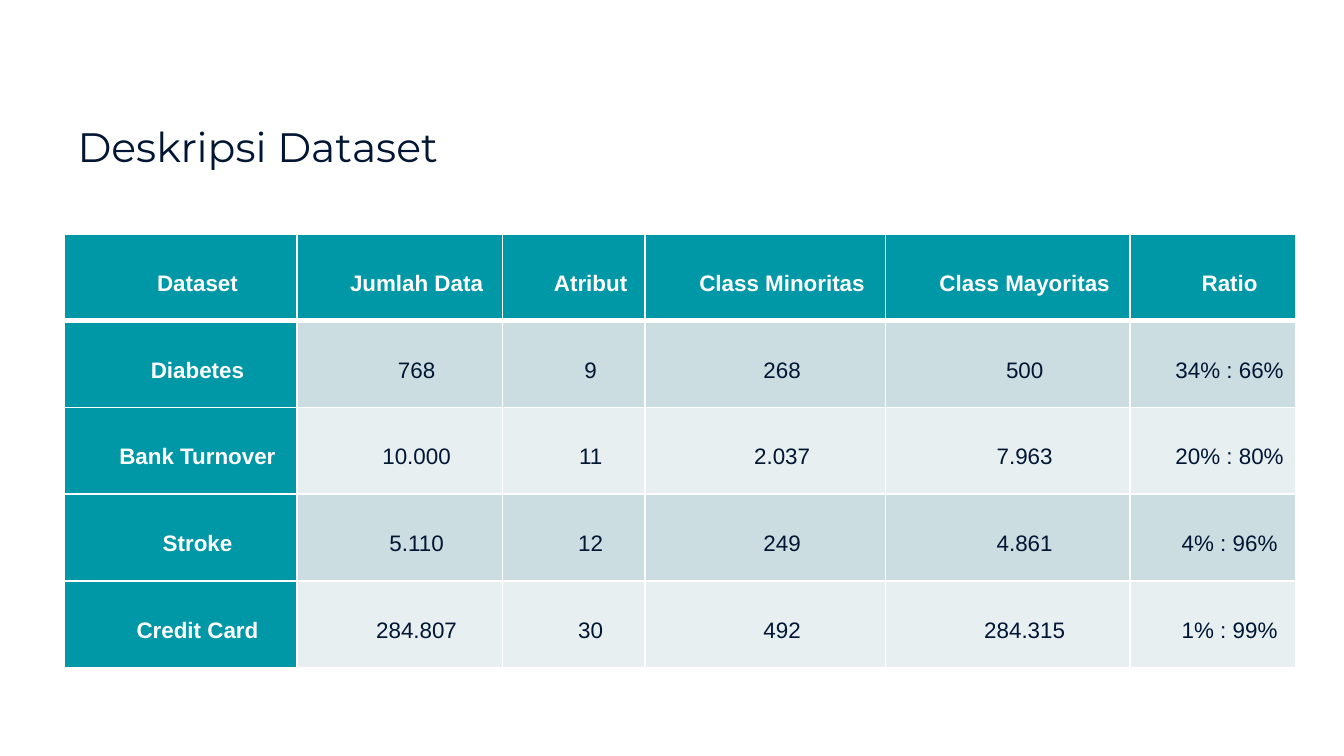
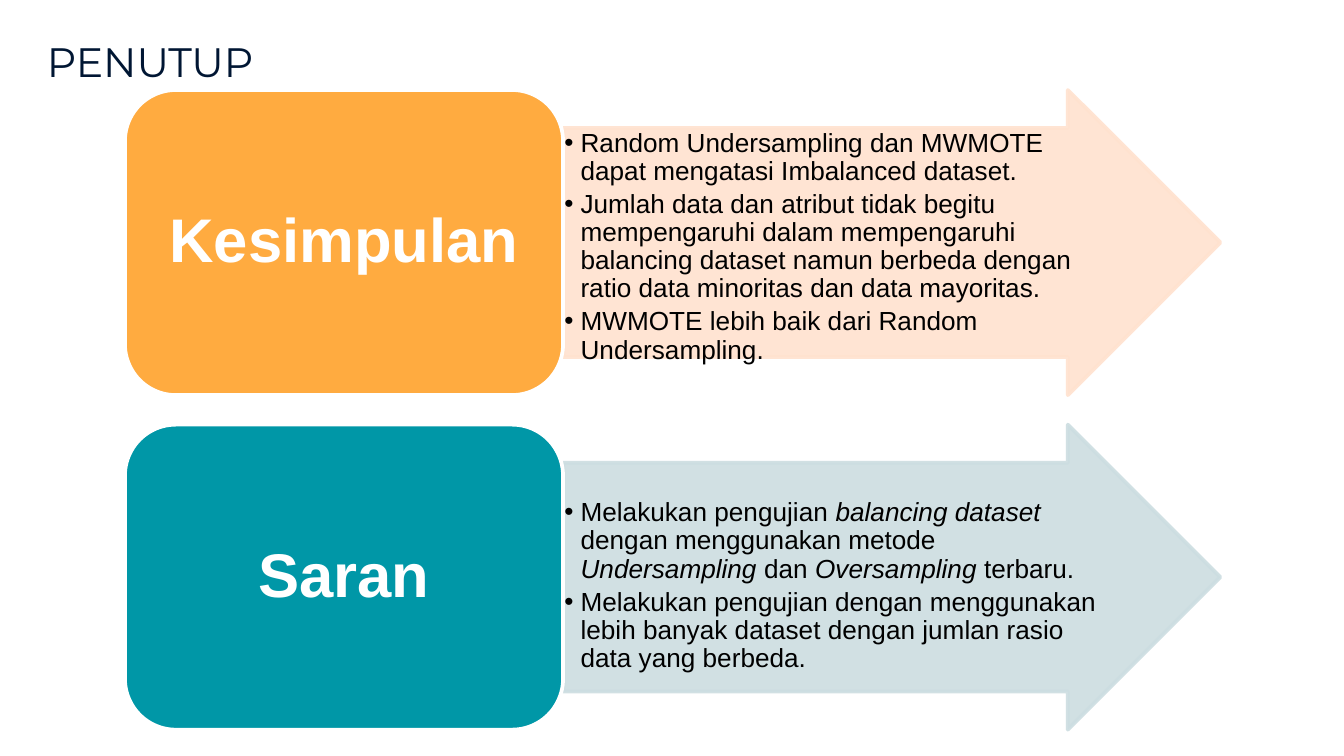
"""Build a dataset table slide and a closing slide with two arrow cards."""
import dataclasses
import typing

import lxml.etree
import pptx
import pptx.dml.color
import pptx.dml.fill
import pptx.enum.shapes
import pptx.enum.text
import pptx.oxml.ns
import pptx.shapes.autoshape
import pptx.slide
import pptx.table
import pptx.text.text
import pptx.util

SHAPE = pptx.enum.shapes.MSO_SHAPE
ANCHOR = pptx.enum.text.MSO_ANCHOR
ALIGN = pptx.enum.text.PP_ALIGN
qn = pptx.oxml.ns.qn

COLS, ROWS = 100, 56.25
SLIDE_W = pptx.util.Inches(10)
SLIDE_H = pptx.util.Inches(5.625)

NAVY, WHITE, BLACK = "001633", "FFFFFF", "000000"
TEAL, MIST, PALE = "0097A7", "CCDDE1", "E7EFF1"
ORANGE, PEACH = "FFAB40", "FFE2CF"

TITLE_FONT = {"name": "Montserrat", "size": pptx.util.Pt(22)}
HEAD_FONT = {"name": "Arial", "size": pptx.util.Pt(12), "bold": True}
CELL_FONT = {**HEAD_FONT, "bold": False}
CARD_FONT = {"name": "Arial", "size": pptx.util.Pt(33), "bold": True}
BULLET_FONT = {"name": "Arial", "size": pptx.util.Pt(14)}
CELL_PARA = {"alignment": ALIGN.CENTER, "line_spacing": 1.5}
CARD_PARA = {"alignment": ALIGN.CENTER, "line_spacing": 0.9}
BULLET_PARA = {"line_spacing": 0.9, "space_after": pptx.util.Pt(2.5)}

TABLE_COLS = (17.3, 15.3, 10.6, 17.9, 18.2, 12.3)
TABLE_ROW = 6.46
TABLE_TEXT = (
    ("Dataset", "Jumlah Data", "Atribut", "Class Minoritas", "Class Mayoritas", "Ratio"),
    ("Diabetes", "768", "9", "268", "500", "34% : 66%"),
    ("Bank Turnover", "10.000", "11", "2.037", "7.963", "20% : 80%"),
    ("Stroke", "5.110", "12", "249", "4.861", "4% : 96%"),
    ("Credit Card", "284.807", "30", "492", "284.315", "1% : 99%"),
)

CARD_X, CARD_Y, CARD_W, CARD_H = 9.3, 6.7, 32.6, 22.7
CARD_PITCH = 24.9
ARROW_W, BULLETS_W = 48.9, 40.4
ARROW_INSET = CARD_H / 8


@dataclasses.dataclass(frozen=True)
class Frame:
    """Place and size in grid columns and rows."""
    x: float
    y: float
    w: float
    h: float

    def emu(self) -> tuple[int, int, int, int]:
        """Return left, top, width and height in EMU."""
        return col(self.x), row(self.y), col(self.w), row(self.h)


@dataclasses.dataclass(frozen=True)
class Card:
    """A heading with its bullets; asterisks enclose italic words."""
    heading: str
    fill: str
    arrow: str
    bullets: tuple[str, ...]
    top_inset: float = 0.1


CARDS = (
    Card("Kesimpulan", ORANGE, PEACH, (
        "Random Undersampling dan MWMOTE dapat mengatasi Imbalanced dataset.",
        "Jumlah data dan atribut tidak begitu mempengaruhi dalam mempengaruhi "
        "balancing dataset namun berbeda dengan ratio data minoritas dan data mayoritas.",
        "MWMOTE lebih baik dari Random Undersampling.",
    )),
    Card("Saran", TEAL, MIST, (
        "Melakukan pengujian *balancing dataset *dengan menggunakan metode "
        "*Undersampling *dan *Oversampling *terbaru.",
        "Melakukan pengujian dengan menggunakan lebih banyak dataset dengan "
        "jumlan rasio data yang berbeda.",
    ), 2.7),
)


def col(n: float) -> int:
    """Convert grid columns to EMU."""
    return round(SLIDE_W * n / COLS)


def row(n: float) -> int:
    """Convert grid rows to EMU."""
    return round(SLIDE_H * n / ROWS)


def rgb(value: str) -> pptx.dml.color.RGBColor:
    """Return the colour for a hex string."""
    return pptx.dml.color.RGBColor.from_string(value)


def apply(target: typing.Any, values: dict[str, typing.Any]) -> None:
    """Set every attribute in values on target."""
    for name, value in values.items():
        setattr(target, name, value)


def paint(fill: pptx.dml.fill.FillFormat, color: str) -> None:
    """Make a fill solid in the given colour."""
    fill.solid()
    fill.fore_color.rgb = rgb(color)


def write(p: typing.Any, text: str, font: dict[str, typing.Any], color: str) -> None:
    """Write text as runs, with the parts between asterisks in italics."""
    for i, part in enumerate(text.split("*")):
        r = p.add_run()
        r.text = part
        apply(r.font, font)
        r.font.color.rgb = rgb(color)
        if i % 2:
            r.font.italic = True


def set_frame(tf: pptx.text.text.TextFrame, anchor: typing.Any,
              insets: tuple[float, float, float, float]) -> None:
    """Set wrapping, anchor and insets given as left, top, right, bottom."""
    left, top, right, bottom = insets
    apply(tf, {
        "word_wrap": True, "vertical_anchor": anchor,
        "margin_left": col(left), "margin_top": row(top),
        "margin_right": col(right), "margin_bottom": row(bottom),
    })


def add_text_box(s: pptx.slide.Slide, frame: Frame, anchor: typing.Any,
                 insets: tuple[float, float, float, float]) -> pptx.text.text.TextFrame:
    """Add a text box and return its text frame."""
    tf = s.shapes.add_textbox(*frame.emu()).text_frame
    set_frame(tf, anchor, insets)
    return tf


def add_title(s: pptx.slide.Slide, text: str, frame: Frame) -> None:
    """Add a slide title."""
    tf = add_text_box(s, frame, ANCHOR.BOTTOM, (1, 1, 1, 1))
    write(tf.paragraphs[0], text, TITLE_FONT, NAVY)


def add_block(s: pptx.slide.Slide, kind: typing.Any, frame: Frame, fill: str,
              line: str) -> pptx.shapes.autoshape.Shape:
    """Add a filled preset shape with a two-point outline."""
    sp = s.shapes.add_shape(kind, *frame.emu())
    sp.shadow.inherit = False
    paint(sp.fill, fill)
    sp.line.color.rgb = rgb(line)
    sp.line.width = pptx.util.Pt(2)
    return sp


def add_bullet(p: typing.Any) -> None:
    """Give a paragraph a hanging black bullet."""
    ppr = p._p.get_or_add_pPr()
    ppr.set("marL", str(col(1.2)))
    ppr.set("indent", str(-col(1.2)))
    color = lxml.etree.SubElement(ppr, qn("a:buClr"))
    lxml.etree.SubElement(color, qn("a:srgbClr"), val=BLACK)
    lxml.etree.SubElement(ppr, qn("a:buFont"), typeface="Arial")
    lxml.etree.SubElement(ppr, qn("a:buChar"), char="•")


def set_borders(cell: pptx.table._Cell, widths: dict[str, float]) -> None:
    """Draw white cell borders with widths in points by side."""
    tcpr = cell._tc.get_or_add_tcPr()
    for i, side in enumerate("LRTB"):
        ln = lxml.etree.Element(qn(f"a:ln{side}"), w=str(pptx.util.Pt(widths.get(side, 1))))
        fill = lxml.etree.SubElement(ln, qn("a:solidFill"))
        lxml.etree.SubElement(fill, qn("a:srgbClr"), val=WHITE)
        tcpr.insert(i, ln)


def add_cell(cell: pptx.table._Cell, text: str, i: int, j: int) -> None:
    """Fill and style the table cell in row i and column j."""
    head = i == 0 or j == 0
    paint(cell.fill, TEAL if head else MIST if i % 2 else PALE)
    set_borders(cell, {0: {"B": 3}, 1: {"T": 3}}.get(i, {}))
    apply(cell, {
        "vertical_anchor": ANCHOR.MIDDLE, "margin_left": col(0.7),
        "margin_right": col(0.7), "margin_top": 0, "margin_bottom": 0,
    })
    p = cell.text_frame.paragraphs[0]
    apply(p, CELL_PARA)
    p._p.get_or_add_pPr().set("indent", str(col(2.5)))
    write(p, text, HEAD_FONT if head else CELL_FONT, WHITE if head else NAVY)


def add_dataset_table(s: pptx.slide.Slide) -> None:
    """Add the table that describes the datasets."""
    frame = Frame(4.8, 17.4, sum(TABLE_COLS), TABLE_ROW * len(TABLE_TEXT))
    table = s.shapes.add_table(len(TABLE_TEXT), len(TABLE_COLS), *frame.emu()).table
    table.horz_banding = False
    for column, width in zip(table.columns, TABLE_COLS):
        column.width = col(width)
    for i, texts in enumerate(TABLE_TEXT):
        for j, text in enumerate(texts):
            add_cell(table.cell(i, j), text, i, j)


def add_card(s: pptx.slide.Slide, card: Card, y: float) -> None:
    """Add an arrow with bullets and the heading block beside it."""
    x = CARD_X + CARD_W
    sp = add_block(s, SHAPE.RIGHT_ARROW, Frame(x, y, ARROW_W, CARD_H), card.arrow, card.arrow)
    sp.adjustments[0], sp.adjustments[1] = 0.75, 0.5
    for color in sp._element.spPr.iter(qn("a:srgbClr")):
        lxml.etree.SubElement(color, qn("a:alpha"), val="90000")

    frame = Frame(x, y + ARROW_INSET, BULLETS_W, CARD_H - 2 * ARROW_INSET)
    tf = add_text_box(s, frame, ANCHOR.TOP, (0.1, card.top_inset, 0.1, 0.1))
    for i, text in enumerate(card.bullets):
        p = tf.add_paragraph() if i else tf.paragraphs[0]
        add_bullet(p)
        apply(p, BULLET_PARA)
        write(p, text, BULLET_FONT, BLACK)

    frame = Frame(CARD_X, y, CARD_W, CARD_H)
    sp = add_block(s, SHAPE.ROUNDED_RECTANGLE, frame, card.fill, WHITE)
    set_frame(sp.text_frame, ANCHOR.MIDDLE, (1.4, 0.7, 1.4, 0.7))
    p = sp.text_frame.paragraphs[0]
    apply(p, CARD_PARA)
    write(p, card.heading, CARD_FONT, WHITE)


def main() -> None:
    """Build and save the presentation."""
    prs = pptx.Presentation()
    apply(prs, {"slide_width": SLIDE_W, "slide_height": SLIDE_H})
    blank = prs.slide_layouts[6]

    s = prs.slides.add_slide(blank)
    add_title(s, "Deskripsi Dataset", Frame(4.8, 4.3, 43.3, 9.4))
    add_dataset_table(s)

    s = prs.slides.add_slide(blank)
    add_title(s, "PENUTUP", Frame(2.5, 2, 43.5, 5.4))
    for i, card in enumerate(CARDS):
        add_card(s, card, CARD_Y + i * CARD_PITCH)

    prs.save("out.pptx")


if __name__ == "__main__":
    main()
